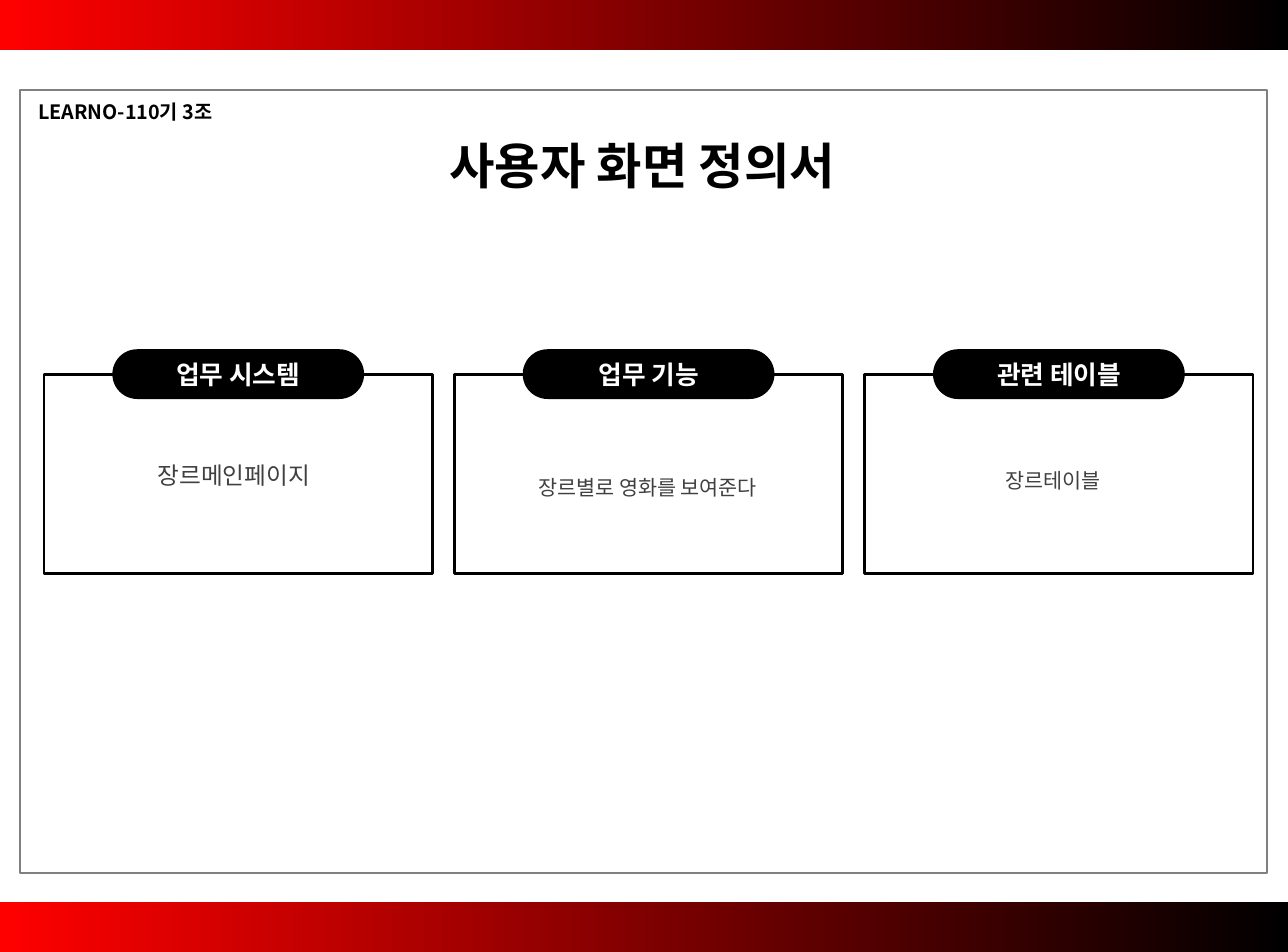
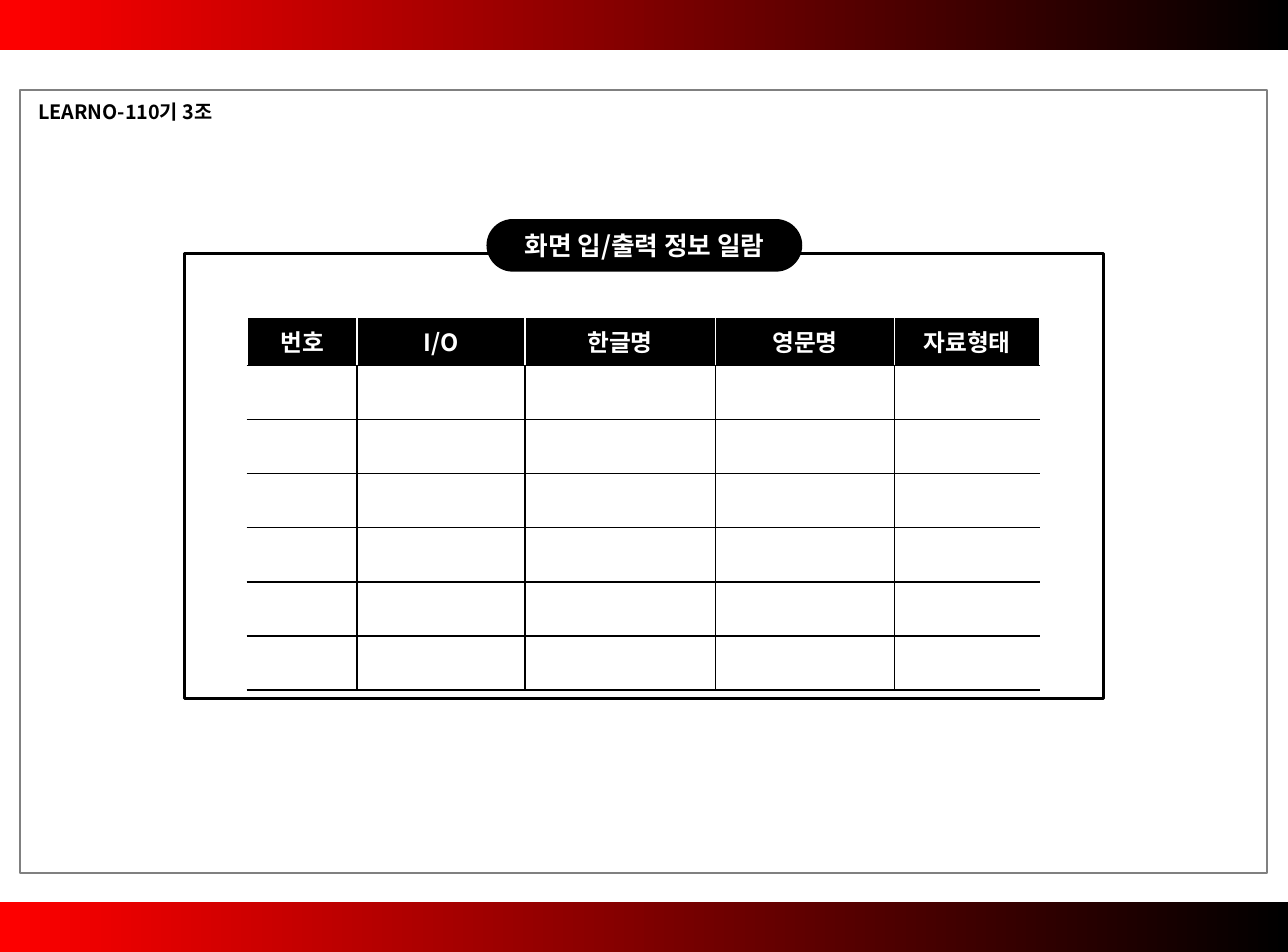
"""Builds the two screen definition slides."""
from lxml.etree import SubElement
from pptx import Presentation
from pptx.dml.color import RGBColor
from pptx.enum.shapes import MSO_SHAPE
from pptx.enum.text import MSO_ANCHOR, PP_ALIGN
from pptx.oxml.ns import qn
from pptx.util import Inches, Pt

BLACK = RGBColor(0x00, 0x00, 0x00)
WHITE = RGBColor(0xFF, 0xFF, 0xFF)
RED = RGBColor(0xFF, 0x00, 0x00)
GRAY = RGBColor(0x80, 0x80, 0x80)
DARK_GRAY = RGBColor(0x40, 0x40, 0x40)
FONT = "Noto Sans CJK KR"
CM_PER_INCH = 2.54
SLIDE_W, SLIDE_H, BAND_H = 23 / CM_PER_INCH, 17 / CM_PER_INCH, 0.35

TEAM = "LEARNO-110기 3조"
TITLE = "사용자 화면 정의서"
PANELS = [
    ("업무 시스템", "장르메인페이지", 12, 0.28, 3.19),
    ("업무 기능", "장르별로 영화를 보여준다", 10.5, 3.19, 3.29),
    ("관련 테이블", "장르테이블", 10.5, 6.04, 3.24),
]
LIST_TITLE = "화면 입/출력 정보 일람"
COLUMNS = [("번호", 0.77), ("I/O", 1.18), ("한글명", 1.34), ("영문명", 1.26), ("자료형태", 1.02)]
EMPTY_ROWS = 6
HEADER_H, ROW_H = 0.34, 0.38

FIRST_LEFT, LAST_LEFT, PANELS_TOP = 0.31, 6.08, 2.63
PANEL_W, PANEL_H = 2.73, 1.4
PANEL_STEP = (LAST_LEFT - FIRST_LEFT) / (len(PANELS) - 1)
LABEL_W, LABEL_H = 1.77, 0.35


def write(frame, text, size, color, bold=False, align=PP_ALIGN.CENTER, margins=(0.09, 0.04)):
    frame.word_wrap = True
    frame.margin_left = frame.margin_right = Inches(margins[0])
    frame.margin_top = frame.margin_bottom = Inches(margins[1])
    paragraph = frame.paragraphs[0]
    paragraph.alignment = align
    run = paragraph.add_run()
    run.text = text
    run.font.size = Pt(size)
    run.font.bold = bold
    run.font.name = FONT
    run.font.color.rgb = color
    SubElement(run.font._element, qn("a:ea")).set("typeface", FONT)


def add_text(slide, box, *args, **style):
    write(slide.shapes.add_textbox(*map(Inches, box)).text_frame, *args, **style)


def add_box(slide, box, line=None, width=1.5, kind=MSO_SHAPE.RECTANGLE):
    shape = slide.shapes.add_shape(kind, *map(Inches, box))
    shape.shadow.inherit = False
    shape.fill.background()
    if line is None:
        shape.line.fill.background()
    else:
        shape.line.color.rgb = line
        shape.line.width = Pt(width)
    return shape


def add_label(slide, box, text):
    label = add_box(slide, box, kind=MSO_SHAPE.ROUNDED_RECTANGLE)
    label.adjustments[0] = 0.5
    label.fill.solid()
    label.fill.fore_color.rgb = BLACK
    label.text_frame.vertical_anchor = MSO_ANCHOR.MIDDLE
    write(label.text_frame, text, 13, WHITE, bold=True)


def add_page(deck):
    slide = deck.slides.add_slide(deck.slide_layouts[6])
    for top in (0, SLIDE_H - BAND_H):
        fill = add_box(slide, (0, top, SLIDE_W, BAND_H)).fill
        fill.gradient()
        fill.gradient_angle = 0
        for stop, position, color in zip(fill.gradient_stops, (0, 1), (RED, BLACK)):
            stop.position = position
            stop.color.rgb = color
    add_box(slide, (0.14, 0.63, 8.77, 5.51), GRAY, 1)
    add_text(slide, (0.18, 0.66, 4.03, 0.26), TEAM, 10, BLACK, bold=True, align=PP_ALIGN.LEFT)
    return slide


def set_borders(cell, **colors):
    for side in "LRTB":
        line = SubElement(cell._tc.get_or_add_tcPr(), qn(f"a:ln{side}"), w=str(Pt(0.96)))
        fill = SubElement(line, qn("a:solidFill"))
        SubElement(fill, qn("a:srgbClr")).set("val", str(colors[side]))


def add_overview(deck):
    slide = add_page(deck)
    add_text(slide, (2.17, 0.91, 4.69, 0.51), TITLE, 25, BLACK, bold=True)
    for index, (label, detail, size, detail_left, detail_top) in enumerate(PANELS):
        left = FIRST_LEFT + index * PANEL_STEP
        add_box(slide, (left, PANELS_TOP, PANEL_W, PANEL_H), BLACK)
        label_left = left + (PANEL_W - LABEL_W) / 2
        add_label(slide, (label_left, PANELS_TOP - LABEL_H / 2, LABEL_W, LABEL_H), label)
        add_text(slide, (detail_left, detail_top, PANEL_W, 0.3), detail, size, DARK_GRAY,
                 margins=(0.1, 0.05))


def add_field_list(deck):
    slide = add_page(deck)
    add_box(slide, (1.3, 1.78, 6.46, 3.13), BLACK)
    add_label(slide, (3.42, 1.54, 2.22, 0.37), LIST_TITLE)
    size = (sum(width for _, width in COLUMNS), HEADER_H + EMPTY_ROWS * ROW_H)
    fields = slide.shapes.add_table(EMPTY_ROWS + 1, len(COLUMNS),
                                    *map(Inches, (1.74, 2.23, *size))).table
    fields.first_row = fields.horz_banding = False
    for row_index, row in enumerate(fields.rows):
        row.height = Inches(ROW_H if row_index else HEADER_H)
        for column_index, (heading, width) in enumerate(COLUMNS):
            cell = row.cells[column_index]
            if row_index:
                cell.margin_top = cell.margin_bottom = 0
                left = BLACK if column_index else WHITE
                right = BLACK if column_index < len(COLUMNS) - 1 else WHITE
                set_borders(cell, L=left, R=right, T=BLACK, B=BLACK)
                cell.fill.background()
            else:
                fields.columns[column_index].width = Inches(width)
                cell.margin_left = cell.margin_right = Inches(0.01)
                write(cell.text_frame, heading, 12, WHITE, bold=True, margins=(0.01, 0.05))
                set_borders(cell, L=WHITE, R=WHITE, T=WHITE, B=BLACK)
                cell.fill.solid()
                cell.fill.fore_color.rgb = BLACK


def main():
    deck = Presentation()
    deck.slide_width, deck.slide_height = Inches(SLIDE_W), Inches(SLIDE_H)
    add_overview(deck)
    add_field_list(deck)
    deck.save("out.pptx")


if __name__ == "__main__":
    main()
